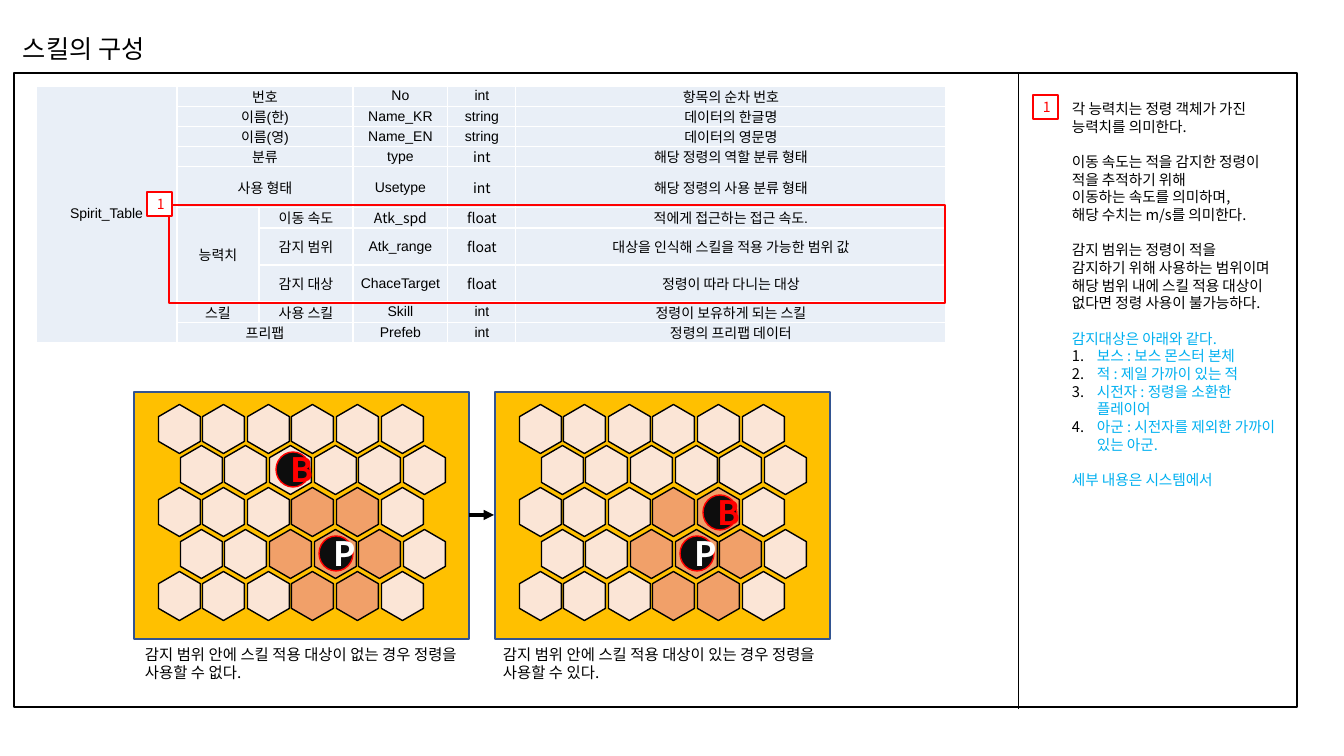
import pptx
import pptx.util
import pptx.dml.color
import pptx.enum.shapes
import pptx.enum.text
import pptx.oxml
import pptx.oxml.ns
import lxml.etree

PX = 914400 / 100.8
KOREAN = "Noto Sans CJK KR"
COLORS = {
    "black": "000000", "white": "FFFFFF", "red": "FF0000", "cyan": "00B0F0",
    "cell": "E9EFF7", "board": "FFC000", "edge": "325491",
    "tile": "FBE5D6", "range": "F1A069", "token": "0D0D0D",
}
MSO = pptx.enum.shapes.MSO_SHAPE
ALIGN = pptx.enum.text.PP_ALIGN
MIDDLE = pptx.enum.text.MSO_ANCHOR.MIDDLE

COLUMNS = [141, 82, 94, 95, 68, 430]
ROWS = [20, 20, 20, 20, 41, 20, 37, 37, 20, 20]
FIELDS = [
    ("번호", "", "No", "int", "항목의 순차 번호"),
    ("이름(한)", "", "Name_KR", "string", "데이터의 한글명"),
    ("이름(영)", "", "Name_EN", "string", "데이터의 영문명"),
    ("분류", "", "type", "int", "해당 정령의 역할 분류 형태"),
    ("사용 형태", "", "Usetype", "int", "해당 정령의 사용 분류 형태"),
    ("능력치", "이동 속도", "Atk_spd", "float", "적에게 접근하는 접근 속도."),
    ("", "감지 범위", "Atk_range", "float", "대상을 인식해 스킬을 적용 가능한 범위 값"),
    ("", "감지 대상", "ChaceTarget", "float", "정령이 따라 다니는 대상"),
    ("스킬", "사용 스킬", "Skill", "int", "정령이 보유하게 되는 스킬"),
    ("프리팹", "", "Prefeb", "int", "정령의 프리팹 데이터"),
]
KOREAN_FONT_CELLS = {(3, 4), (4, 4), (5, 3), (5, 4), (6, 4), (7, 4)}
RANGE_TILES = {(2, 3), (2, 4), (3, 2), (3, 3), (3, 4), (4, 3), (4, 4)}
NOTES = [
    ("각 능력치는 정령 객체가 가진", "black", ""),
    ("능력치를 의미한다.", "black", ""),
    ("이동 속도는 적을 감지한 정령이 적을 추적하기 위해", "black", "gap"),
    ("이동하는 속도를 의미하며,", "black", ""),
    ("해당 수치는 m/s를 의미한다.", "black", ""),
    ("감지 범위는 정령이 적을", "black", "gap"),
    ("감지하기 위해 사용하는 범위이며 해당 범위 내에 스킬 적용 대상이 "
     "없다면 정령 사용이 불가능하다.", "black", ""),
    ("감지대상은 아래와 같다.", "cyan", "gap"),
    ("보스 : 보스 몬스터 본체", "cyan", "number"),
    ("적 : 제일 가까이 있는 적", "cyan", "number"),
    ("시전자 : 정령을 소환한 플레이어", "cyan", "number"),
    ("아군 : 시전자를 제외한 가까이 있는 아군.", "cyan", "number"),
    ("세부 내용은 시스템에서", "cyan", "gap"),
]


def px(n):
    """Turn pixels into EMU."""
    return pptx.util.Emu(round(n * PX))


def rgb(name):
    """Look up a named colour."""
    return pptx.dml.color.RGBColor.from_string(COLORS[name])


def add_xml(parent, tag, **attrs):
    """Append a DrawingML element."""
    el = lxml.etree.SubElement(parent, pptx.oxml.ns.qn("a:" + tag))
    for key, value in attrs.items():
        el.set(key, str(value))
    return el


def add_run(p, text, size, color, font=KOREAN, bold=False):
    """Add one formatted run."""
    r = p.add_run()
    r.text = text
    fmt = {"size": pptx.util.Pt(size), "name": font, "bold": bold}
    for key, value in fmt.items():
        setattr(r.font, key, value)
    r.font.color.rgb = rgb(color)
    add_xml(r.font._element, "ea", typeface=KOREAN)


def add_box(s, kind, box, line, fill=None, label=None):
    """Add a preset shape with an optional centred label."""
    sp = s.shapes.add_shape(kind, *map(px, box))
    sp.shadow.inherit = False
    sp.line.color.rgb = rgb(line)
    sp.line.width = pptx.util.Pt(1)
    if fill:
        sp.fill.solid()
        sp.fill.fore_color.rgb = rgb(fill)
    else:
        sp.fill.background()
    if label:
        tf = sp.text_frame
        tf.word_wrap = True
        tf.vertical_anchor = MIDDLE
        tf.paragraphs[0].alignment = ALIGN.CENTER
        add_run(tf.paragraphs[0], **label)
    return sp


def add_marker(s, x, y):
    """Add a red numbered marker."""
    add_box(s, MSO.RECTANGLE, (x, y, 25, 24), "red", "white",
            {"text": "1", "size": 10, "color": "red"})


def add_line(s, x1, y1, x2, y2, width, arrow=False):
    """Add a straight black line or arrow."""
    cn = s.shapes.add_connector(pptx.enum.shapes.MSO_CONNECTOR.STRAIGHT,
                                *map(px, (x1, y1, x2, y2)))
    cn.line.color.rgb = rgb("black")
    cn.line.width = pptx.util.Pt(width)
    if arrow:
        add_xml(cn.line._get_or_add_ln(), "tailEnd", type="triangle")
    add_xml(cn._element.spPr, "effectLst")


def add_text(s, box, paragraphs, size, pitch):
    """Add a text box of (text, colour, style) paragraphs."""
    tf = s.shapes.add_textbox(*map(px, box)).text_frame
    tf.word_wrap = True
    for i, (text, color, style) in enumerate(paragraphs):
        p = tf.add_paragraph() if i else tf.paragraphs[0]
        p.line_spacing = pptx.util.Pt(pitch)
        if style == "gap":
            p.space_before = pptx.util.Pt(pitch)
        if style == "number":
            pPr = p._p.get_or_add_pPr()
            pPr.set("marL", str(px(25)))
            pPr.set("indent", str(px(-25)))
            add_xml(add_xml(pPr, "buClr"), "srgbClr", val=COLORS["black"])
            add_xml(pPr, "buAutoNum", type="arabicPeriod")
        add_run(p, text, size, color)


def format_cell(cell, text, font):
    """Style one table cell and write its text."""
    margins = dict.fromkeys(
        ("margin_left", "margin_top", "margin_right", "margin_bottom"), 0)
    for key, value in {**margins, "vertical_anchor": MIDDLE}.items():
        setattr(cell, key, value)
    for side in ("lnL", "lnR", "lnT", "lnB"):
        ln = add_xml(cell._tc.get_or_add_tcPr(), side, w=12700)
        add_xml(add_xml(ln, "solidFill"), "srgbClr", val=COLORS["white"])
    cell.fill.solid()
    cell.fill.fore_color.rgb = rgb("cell")
    p = cell.text_frame.paragraphs[0]
    p.alignment = ALIGN.CENTER
    p.font.size = pptx.util.Pt(10)
    if text:
        add_run(p, text, 10, "black", font)


def add_field_table(s):
    """Add the Spirit_Table field list."""
    box = (36, 86, sum(COLUMNS), sum(ROWS))
    tbl = s.shapes.add_table(len(ROWS), len(COLUMNS), *map(px, box)).table
    tbl.first_row = tbl.horz_banding = False
    for col, width in zip(tbl.columns, COLUMNS):
        col.width = px(width)
    for i, (height, field) in enumerate(zip(ROWS, FIELDS)):
        tbl.rows[i].height = px(height)
        for j, text in enumerate(("" if i else "Spirit_Table",) + field):
            font = KOREAN if (i, j) in KOREAN_FONT_CELLS else "Arial"
            format_cell(tbl.cell(i, j), text, font)
        if field[0] and not field[1]:
            tbl.cell(i, 1).merge(tbl.cell(i, 2))
    tbl.cell(0, 0).merge(tbl.cell(len(ROWS) - 1, 0))
    tbl.cell(5, 1).merge(tbl.cell(7, 1))


def add_board(s, x, boss_x, boss_y):
    """Add a hexagon board with its player and boss tokens."""
    add_box(s, MSO.RECTANGLE, (x, 392, 335, 247), "edge", "board")
    for row in range(5):
        for col in range(6):
            left = x + 21 + (2 * col + row % 2) * 223 // 10
            top = 408 + row * 167 // 4
            fill = "range" if (row, col) in RANGE_TILES else "tile"
            sp = add_box(s, MSO.HEXAGON, (left, top, 49, 42), "black", fill)
            sp.rotation = 270
            sp.adjustments[0] = 0.29
    for text, color, left, top in (("P", "white", 185, 536),
                                   ("B", "red", boss_x, boss_y)):
        add_box(s, MSO.OVAL, (x + left, top, 34, 35), "red", "token",
                {"text": text, "size": 24, "color": color, "bold": True})


def main():
    """Build the slide and save it."""
    prs = pptx.Presentation()
    prs.slide_width, prs.slide_height = px(1344), px(756)
    s = prs.slides.add_slide(prs.slide_layouts[6])
    add_field_table(s)
    add_text(s, (13, 28, 156, 40), [("스킬의 구성", "black", "")], 18, 21.6)
    add_box(s, MSO.RECTANGLE, (14, 73, 1283, 634), "black")
    add_line(s, 1019, 74, 1019, 709, 0.75)
    add_marker(s, 1033, 95)
    add_text(s, (1062, 95, 229, 437), NOTES, 10.5, 12.6)
    add_box(s, MSO.RECTANGLE, (169, 205, 776, 98), "red")
    add_marker(s, 147, 192)
    add_board(s, 134, 142, 452)
    add_board(s, 495, 208, 495)
    add_line(s, 469, 515, 494, 515, 2.5, arrow=True)
    for x, state in ((135, "없"), (493, "있")):
        text = (f"감지 범위 안에 스킬 적용 대상이 {state}는 경우 정령을 "
                f"사용할 수 {state}다.")
        add_text(s, (x, 641, 368, 47), [(text, "black", "")], 11, 12.9)
    prs.save("out.pptx")


main()
